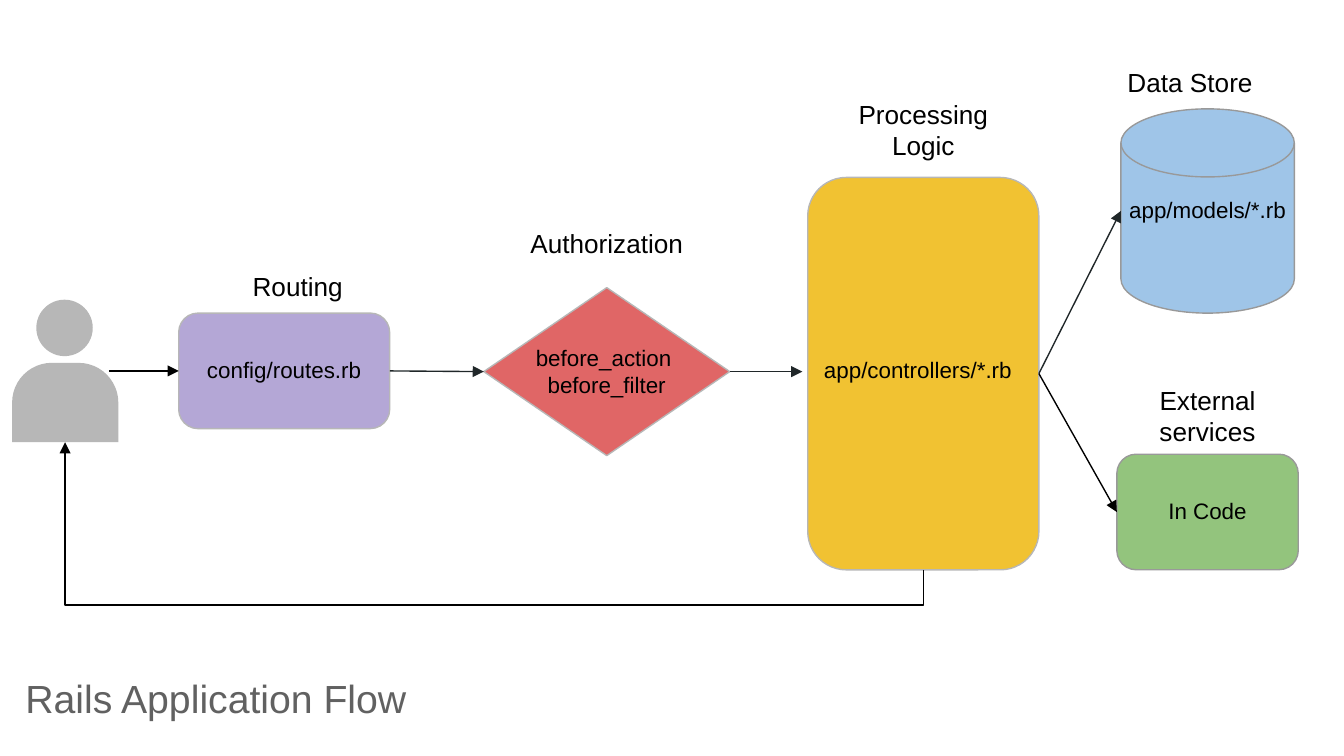
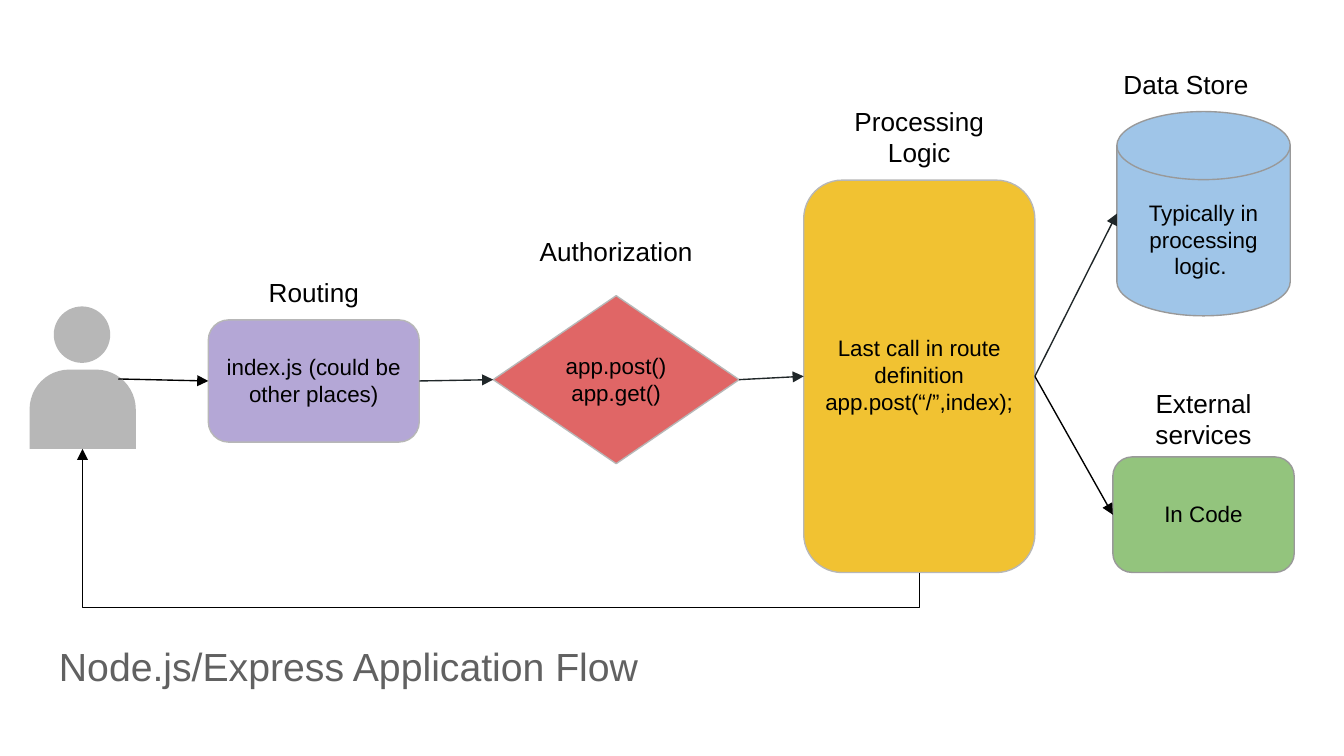
from dataclasses import dataclass

from lxml import etree
from pptx import Presentation
from pptx.dml.color import RGBColor
from pptx.enum import shapes, text
from pptx.oxml import ns
from pptx.util import Inches, Pt

FONT = "Arial"
BLACK = RGBColor(0x00, 0x00, 0x00)
INK = RGBColor(0x20, 0x27, 0x29)
TITLE_GREY = RGBColor(0x61, 0x61, 0x61)
PERSON_GREY = RGBColor(0xB7, 0xB7, 0xB7)
EDGE_GREY = RGBColor(0x99, 0x99, 0x99)
PURPLE = RGBColor(0xB4, 0xA7, 0xD6)
RED = RGBColor(0xE0, 0x66, 0x66)
YELLOW = RGBColor(0xF1, 0xC2, 0x32)
BLUE = RGBColor(0x9F, 0xC5, 0xE8)
GREEN = RGBColor(0x93, 0xC4, 0x7D)

PRESET = shapes.MSO_SHAPE
CONNECTOR = shapes.MSO_CONNECTOR
TOP, MIDDLE = text.MSO_ANCHOR.TOP, text.MSO_ANCHOR.MIDDLE
LEFT, CENTER = text.PP_ALIGN.LEFT, text.PP_ALIGN.CENTER
LEFT_SIDE, RIGHT_SIDE = 1, 3
RETURN_DROP = 0.26


@dataclass
class Label:
    words: str
    width: float
    height: float
    nudge: float = 0
    overlap: float = 0
    anchor: object = TOP


@dataclass
class Code:
    words: str
    width: float
    height: float
    nudge: float = 0
    top: float = None


def inches(values):
    return [Inches(value) for value in values]


def add_text(page, box, words, size, color=BLACK, align=CENTER, anchor=TOP):
    frame = page.shapes.add_textbox(*inches(box)).text_frame
    frame.word_wrap = True
    frame.vertical_anchor = anchor
    frame.margin_left = frame.margin_right = Inches(0.1)
    frame.margin_top = frame.margin_bottom = Inches(0.1)
    frame.text = words
    for para in frame.paragraphs:
        para.alignment = align
        for span in para.runs:
            span.font.name = FONT
            span.font.size = Pt(size)
            span.font.color.rgb = color


def add_solid(page, preset, box, fill, edge=None):
    shape = page.shapes.add_shape(preset, *inches(box))
    shape.shadow.inherit = False
    shape.fill.solid()
    shape.fill.fore_color.rgb = fill
    if edge is None:
        shape.line.fill.background()
    else:
        shape.line.color.rgb = edge
        shape.line.width = Pt(0.75)
    return shape


def add_arrow(page, start, end, color=INK, kind=CONNECTOR.STRAIGHT):
    arrow = page.shapes.add_connector(kind, *inches((*start, *end)))
    arrow.line.color.rgb = color
    arrow.line.width = Pt(0.75)
    line = arrow._element.spPr.find(ns.qn("a:ln"))
    etree.SubElement(line, ns.qn("a:tailEnd"), type="triangle")
    etree.SubElement(arrow._element.spPr, ns.qn("a:effectLst"))
    return arrow


def add_return_arrow(page, start, end):
    run, rise = start[0] - end[0], start[1] - end[1]
    middle_x, middle_y = (start[0] + end[0]) / 2, (start[1] + end[1]) / 2
    arrow = add_arrow(
        page,
        (middle_x + rise / 2, middle_y - run / 2),
        (middle_x - rise / 2, middle_y + run / 2),
        BLACK,
        CONNECTOR.ELBOW,
    )
    properties = arrow._element.spPr
    properties.find(ns.qn("a:xfrm")).set("rot", "5400000")
    guides = properties.find(ns.qn("a:prstGeom")).find(ns.qn("a:avLst"))
    bend = round(-RETURN_DROP / rise * 100000)
    etree.SubElement(guides, ns.qn("a:gd"), name="adj1", fmla=f"val {bend}")


def add_stage(page, box, preset, fill, edge, label, code):
    left, top, width, height = box
    shape = add_solid(page, preset, box, fill, edge)
    label_left = left + (width - label.width) / 2 + label.nudge
    label_top = top - label.height + label.overlap
    add_text(page, (label_left, label_top, label.width, label.height),
             label.words, 14, anchor=label.anchor)
    code_left = left + (width - code.width) / 2 + code.nudge
    code_top = top + ((height - code.height) / 2 if code.top is None else code.top)
    add_text(page, (code_left, code_top, code.width, code.height), code.words, 12)
    return shape


def add_person(page, left, top):
    body = add_solid(page, PRESET.ROUND_2_SAME_RECTANGLE,
                     (left, top + 0.47, 0.79, 0.59), PERSON_GREY)
    body.adjustments[0] = 0.5
    body.adjustments[1] = 0
    add_solid(page, PRESET.OVAL, (left + 0.18, top, 0.42, 0.42), PERSON_GREY)
    return left + 0.79 / 2, top + 1.06


def add_processing(page, left, top, label_overlap, logic_code, store_code):
    logic = add_stage(
        page, (left, top, 1.72, 2.92), PRESET.ROUNDED_RECTANGLE, YELLOW, PERSON_GREY,
        Label("Processing Logic", 1.22, 0.83, overlap=label_overlap, anchor=MIDDLE),
        logic_code)
    store_left, store_top = left + 2.33, top - 0.51
    add_stage(
        page, (store_left, store_top, 1.29, 1.52), PRESET.FLOWCHART_MAGNETIC_DISK,
        BLUE, EDGE_GREY, Label("Data Store", 1.17, 0.42, nudge=-0.13), store_code)
    services = add_stage(
        page, (left + 2.3, top + 2.06, 1.35, 0.86), PRESET.ROUNDED_RECTANGLE,
        GREEN, EDGE_GREY, Label("External services", 1.22, 0.66, overlap=0.04),
        Code("In Code", 1.72, 0.42))
    fork = (left + 1.72, top + 1.46)
    to_store = add_arrow(page, fork, (store_left, store_top + 0.76))
    to_store.begin_connect(logic, RIGHT_SIDE)
    to_services = add_arrow(page, fork, (left + 2.3, top + 2.49), BLACK)
    to_services.begin_connect(logic, RIGHT_SIDE)
    to_services.end_connect(services, LEFT_SIDE)
    return logic, (left + 0.86, top + 2.92)


def add_flow(deck, title, title_at, person_at, hand, routing_box, routing_nudge,
             routing_code, check_at, check_code, processing_at, label_overlap,
             logic_code, store_code, logic_gap=0):
    page = deck.slides.add_slide(deck.slide_layouts[6])
    add_text(page, (*title_at, 6.56, 0.65), title, 21, TITLE_GREY, LEFT, MIDDLE)
    feet = add_person(page, *person_at)
    routing = add_stage(
        page, routing_box, PRESET.ROUNDED_RECTANGLE, PURPLE, PERSON_GREY,
        Label("Routing", 1.22, 0.42, nudge=routing_nudge), routing_code)
    check = add_stage(
        page, (*check_at, 1.83, 1.25), PRESET.DIAMOND, RED, PERSON_GREY,
        Label("Authorization", 1.35, 0.66, anchor=MIDDLE), check_code)
    logic, logic_foot = add_processing(
        page, *processing_at, label_overlap, logic_code, store_code)

    left, top, width, height = routing_box
    check_middle = check_at[1] + 1.25 / 2
    to_routing = add_arrow(page, hand, (left, top + height / 2), BLACK)
    to_routing.end_connect(routing, LEFT_SIDE)
    to_check = add_arrow(page, (left + width, top + height / 2),
                         (check_at[0], check_middle))
    to_check.begin_connect(routing, RIGHT_SIDE)
    to_check.end_connect(check, LEFT_SIDE)
    to_logic = add_arrow(page, (check_at[0] + 1.83, check_middle),
                         (processing_at[0] - logic_gap, check_middle))
    to_logic.begin_connect(check, RIGHT_SIDE)
    if not logic_gap:
        to_logic.end_connect(logic, LEFT_SIDE)
    add_return_arrow(page, logic_foot, feet)


def main():
    deck = Presentation()
    deck.slide_width = Inches(10)
    deck.slide_height = deck.slide_width * 9 // 16
    add_flow(
        deck, "Rails Application Flow",
        title_at=(0.09, 4.87), person_at=(0.09, 2.23), hand=(0.81, 2.76),
        routing_box=(1.33, 2.33, 1.57, 0.86), routing_nudge=0.1,
        routing_code=Code("config/routes.rb", 1.57, 0.42),
        check_at=(3.6, 2.14),
        check_code=Code("before_action \nbefore_filter", 1.57, 0.59, top=0.32),
        processing_at=(6.01, 1.32), label_overlap=0.06,
        logic_code=Code("app/controllers/*.rb", 1.72, 0.42, nudge=-0.04, top=1.23),
        store_code=Code("app/models/*.rb", 1.72, 0.42, top=0.55),
        logic_gap=0.04)
    add_flow(
        deck, "Node.js/Express Application Flow",
        title_at=(0.34, 4.63), person_at=(0.22, 2.28), hand=(0.88, 2.82),
        routing_box=(1.55, 2.38, 1.57, 0.91), routing_nudge=0,
        routing_code=Code("index.js (could be other places)", 1.57, 0.59, top=0.15),
        check_at=(3.67, 2.2),
        check_code=Code("app.post()\napp.get()", 1.57, 0.59, top=0.32),
        processing_at=(5.98, 1.34), label_overlap=0.09,
        logic_code=Code("Last call in route definition\napp.post(“/”,index);", 1.72, 0.83),
        store_code=Code("Typically in processing logic. ", 1.29, 0.83, top=0.55))
    deck.save("out.pptx")


if __name__ == "__main__":
    main()
